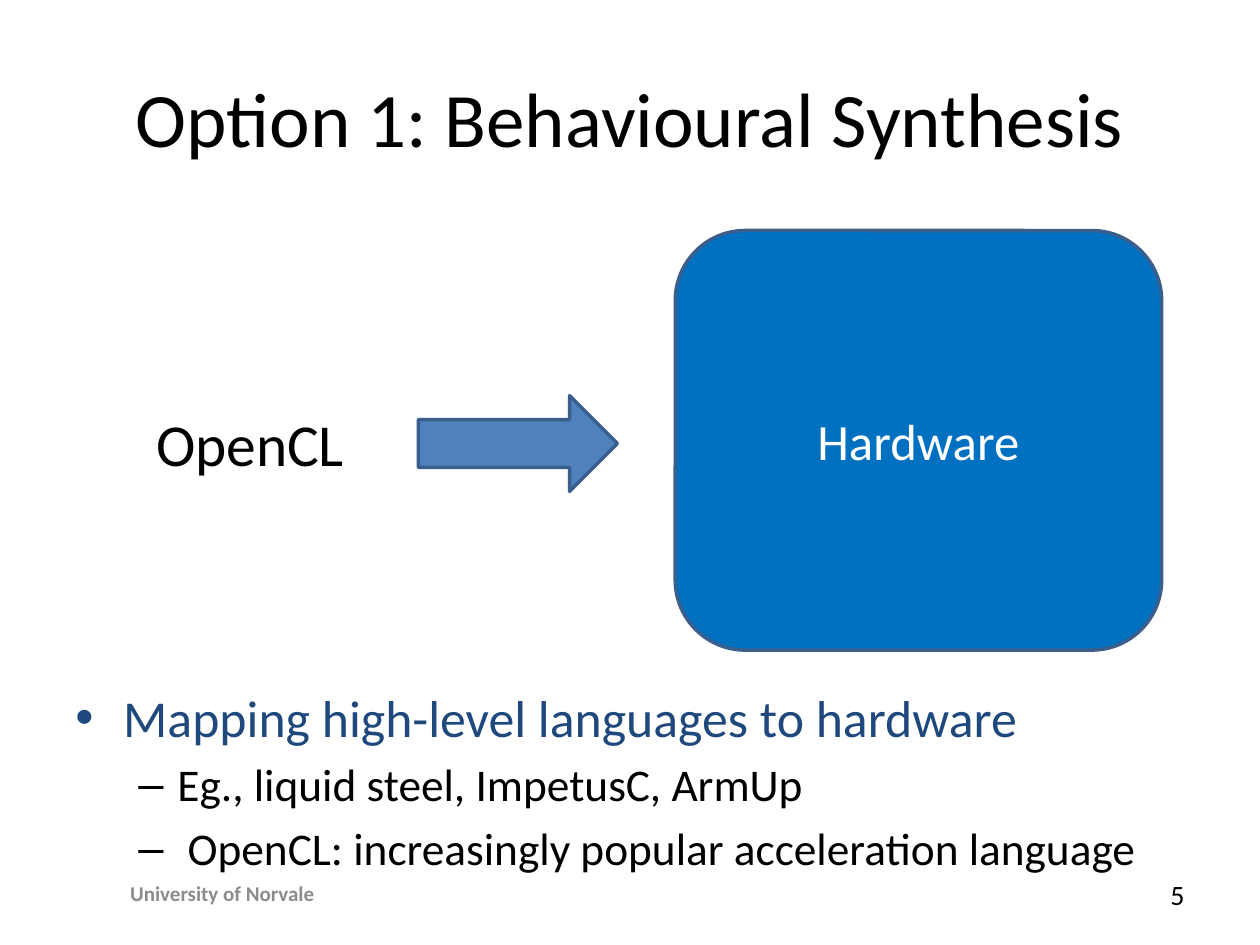
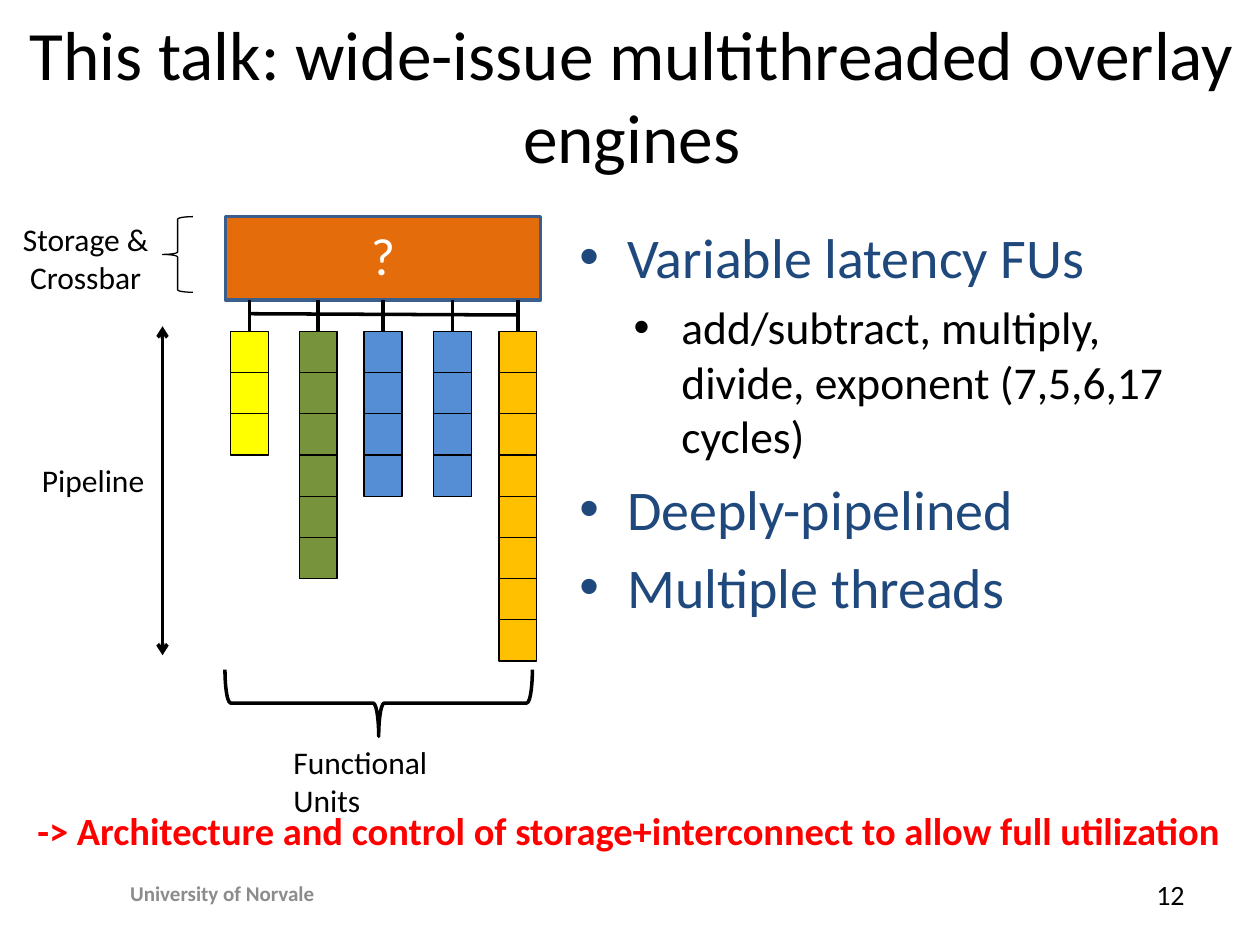
from dataclasses import dataclass

from lxml.etree import SubElement
from pptx import Presentation
from pptx.dml.color import RGBColor
from pptx.enum.shapes import MSO_CONNECTOR as CONN, MSO_SHAPE as SHAPE
from pptx.enum.text import MSO_ANCHOR as ANCHOR, PP_ALIGN as ALIGN
from pptx.oxml.ns import qn
from pptx.util import Inches, Pt

FONT = "Calibri"
COLORS = {
    "black": "000000", "white": "FFFFFF", "grey": "8C8C8C", "navy": "1F497D",
    "red": "FF0000", "outline": "3A5F8C", "arrow": "4F81BD", "hardware": "0070C0",
    "storage": "E46C0A", "yellow": "FFFF00", "green": "77933C",
    "blue": "558ED5", "amber": "FFC000",
}

# The slide is a grid of 100 columns by 75 rows
COLS, ROWS = 100, 75
prs = Presentation()
prs.slide_width, prs.slide_height = Inches(10), Inches(7.5)


@dataclass(frozen=True)
class Box:
    left: float
    top: float
    width: float
    height: float


@dataclass(frozen=True)
class Label:
    text: str
    size: float
    color: str = "black"
    bold: bool = False
    align: ALIGN = ALIGN.CENTER
    anchor: ANCHOR = ANCHOR.TOP
    wrap: bool = True


@dataclass(frozen=True)
class Bullet:
    text: str
    size: float
    color: str = "navy"
    level: int = 0
    char: str = "•"
    margin: float = 0.38
    hanging: float = 0.38


@dataclass(frozen=True)
class Unit:
    left: float
    stages: int
    color: str


def x(col: float) -> int:
    return round(prs.slide_width * col / COLS)


def y(row: float) -> int:
    return round(prs.slide_height * row / ROWS)


def place(box: Box) -> tuple:
    return x(box.left), y(box.top), x(box.width), y(box.height)


def rgb(name: str) -> RGBColor:
    return RGBColor.from_string(COLORS[name])


def apply(target, values: dict) -> None:
    for name, value in values.items():
        setattr(target, name, value)


def add_run(p, text: str, size: float, color: str, bold: bool = False) -> None:
    r = p.add_run()
    r.text = text
    apply(r.font, {"name": FONT, "size": Pt(size), "bold": bold})
    r.font.color.rgb = rgb(color)


def write(s, label: Label) -> None:
    tf = s.text_frame
    apply(tf, {"word_wrap": label.wrap, "vertical_anchor": label.anchor})
    p = tf.paragraphs[0]
    p.alignment = label.align
    add_run(p, label.text, label.size, label.color, label.bold)


def add_text(slide, box: Box, label: Label) -> None:
    write(slide.shapes.add_textbox(*place(box)), label)


def add_bullets(slide, box: Box, bullets: list[Bullet]) -> None:
    tf = slide.shapes.add_textbox(*place(box)).text_frame
    tf.word_wrap = True
    for i, b in enumerate(bullets):
        p = tf.add_paragraph() if i else tf.paragraphs[0]
        apply(p, {"level": b.level, "space_before": Pt(round(b.size * 0.2, 1))})
        pPr = p._p.get_or_add_pPr()
        pPr.set("marL", str(Inches(b.margin)))
        pPr.set("indent", str(-Inches(b.hanging)))
        SubElement(pPr, qn("a:buFont"), typeface="Arial")
        SubElement(pPr, qn("a:buChar"), char=b.char)
        add_run(p, b.text, b.size, b.color)


def add_shape(slide, kind: SHAPE, box: Box, fill: str | None = None,
              line: str = "outline", width: float = 2, label: Label | None = None):
    s = slide.shapes.add_shape(kind, *place(box))
    s.shadow.inherit = False
    if fill:
        s.fill.solid()
        s.fill.fore_color.rgb = rgb(fill)
    else:
        s.fill.background()
    s.line.color.rgb = rgb(line)
    s.line.width = Pt(width)
    if label:
        write(s, label)
    return s


def add_line(slide, x1: float, y1: float, x2: float, y2: float, arrows: bool = False):
    s = slide.shapes.add_connector(CONN.STRAIGHT, x(x1), y(y1), x(x2), y(y2))
    s.line.color.rgb = rgb("black")
    s.line.width = Pt(2)
    spPr = s.element.spPr
    if arrows:
        for end in ("a:headEnd", "a:tailEnd"):
            SubElement(spPr.find(qn("a:ln")), qn(end), type="arrow")
    SubElement(spPr, qn("a:effectLst"))
    return s


def new_slide(title: str, box: Box, size: float, number: int):
    slide = prs.slides.add_slide(prs.slide_layouts[6])
    middle = ANCHOR.MIDDLE
    add_text(slide, box, Label(title, size, anchor=middle))
    add_text(slide, Box(1.8, 68.9, 31.7, 4),
             Label("University of Norvale", 12, "grey", True, anchor=middle))
    add_text(slide, Box(71.7, 69, 23.3, 4),
             Label(str(number), 16, align=ALIGN.RIGHT, anchor=middle))
    return slide


def build_synthesis() -> None:
    slide = new_slide("Option 1: Behavioural Synthesis", Box(5, 3, 90, 12.5), 44, 5)

    # Flow from language to hardware
    add_shape(slide, SHAPE.ROUNDED_RECTANGLE, Box(53.6, 18.3, 38.6, 33.3), "hardware",
              label=Label("Hardware", 29, "white", anchor=ANCHOR.MIDDLE))
    add_shape(slide, SHAPE.RIGHT_ARROW, Box(33.2, 31.4, 15.8, 7.6), "arrow")
    add_text(slide, Box(11.4, 31.8, 17.1, 6.7),
             Label("OpenCL", 34, align=ALIGN.LEFT, wrap=False))

    # Explanation
    dash = {"size": 25.9, "color": "black", "level": 1, "char": "–",
            "margin": 0.81, "hanging": 0.31}
    add_bullets(slide, Box(5, 53.9, 90, 13.9), [
        Bullet("Mapping high-level languages to hardware", 29.6),
        Bullet("Eg., liquid steel, ImpetusC, ArmUp", **dash),
        Bullet(" OpenCL: increasingly popular acceleration language", **dash),
    ])


def build_overlay() -> None:
    slide = new_slide("This talk: wide-issue multithreaded overlay engines",
                      Box(1, 1.2, 98.3, 12.5), 39.6, 12)
    add_bullets(slide, Box(45, 17.2, 51.2, 49.4), [
        Bullet("Variable latency FUs", 32),
        Bullet("add/subtract, multiply, divide, exponent (7,5,6,17 cycles)",
               26, "black", 2, margin=0.81),
        Bullet("Deeply-pipelined", 32),
        Bullet("Multiple threads", 32),
    ])

    # Storage block
    store = Box(17.9, 17.2, 25, 6.6)
    store_end = store.top + store.height
    storage = add_shape(slide, SHAPE.RECTANGLE, store, "storage",
                        label=Label("?", 30, "white"))

    # Functional units: a column of stages, each wired to the storage
    units = [Unit(18.3, 3, "yellow"), Unit(23.75, 6, "green"), Unit(28.9, 4, "blue"),
             Unit(34.4, 4, "blue"), Unit(39.6, 8, "amber")]
    unit_top, stage_width, stage_height = 26.3, 3, 3.27
    for unit in units:
        stages = [
            add_shape(slide, SHAPE.RECTANGLE,
                      Box(unit.left, unit_top + i * stage_height,
                          stage_width, stage_height),
                      unit.color, "black", 0.75)
            for i in range(unit.stages)
        ]
        center = unit.left + stage_width / 2
        wire = add_line(slide, center, store_end, center, unit_top)
        if abs(center - store.left - store.width / 2) < 0.1:
            wire.begin_connect(storage, 2)
        wire.end_connect(stages[0], 0)
    add_line(slide, 19.7, 24.9, 41.2, 25)

    # Braces and pipeline arrow
    add_line(slide, 12.9, 25.9, 12.9, 52, arrows=True)
    units_brace = add_shape(slide, SHAPE.RIGHT_BRACE, Box(27.4, 43.6, 5.3, 24.4),
                            line="black")
    units_brace.rotation = 90
    add_shape(slide, SHAPE.LEFT_BRACE, Box(12.9, 17.2, 2.4, 6), line="black", width=0.75)

    # Captions
    for box, label in (
        (Box(0.6, 36.1, 13.6, 4.8), Label("Pipeline", 18)),
        (Box(22.3, 58.5, 14.5, 3.3), Label("Functional Units", 18, align=ALIGN.LEFT)),
        (Box(0, 17, 13.6, 7.1), Label("Storage & Crossbar", 18)),
        (Box(1.8, 63.6, 96.2, 4.7),
         Label("-> Architecture and control of storage+interconnect "
               "to allow full utilization", 22, "red", True)),
    ):
        add_text(slide, box, label)


if __name__ == "__main__":
    build_synthesis()
    build_overlay()
    prs.save("out.pptx")
